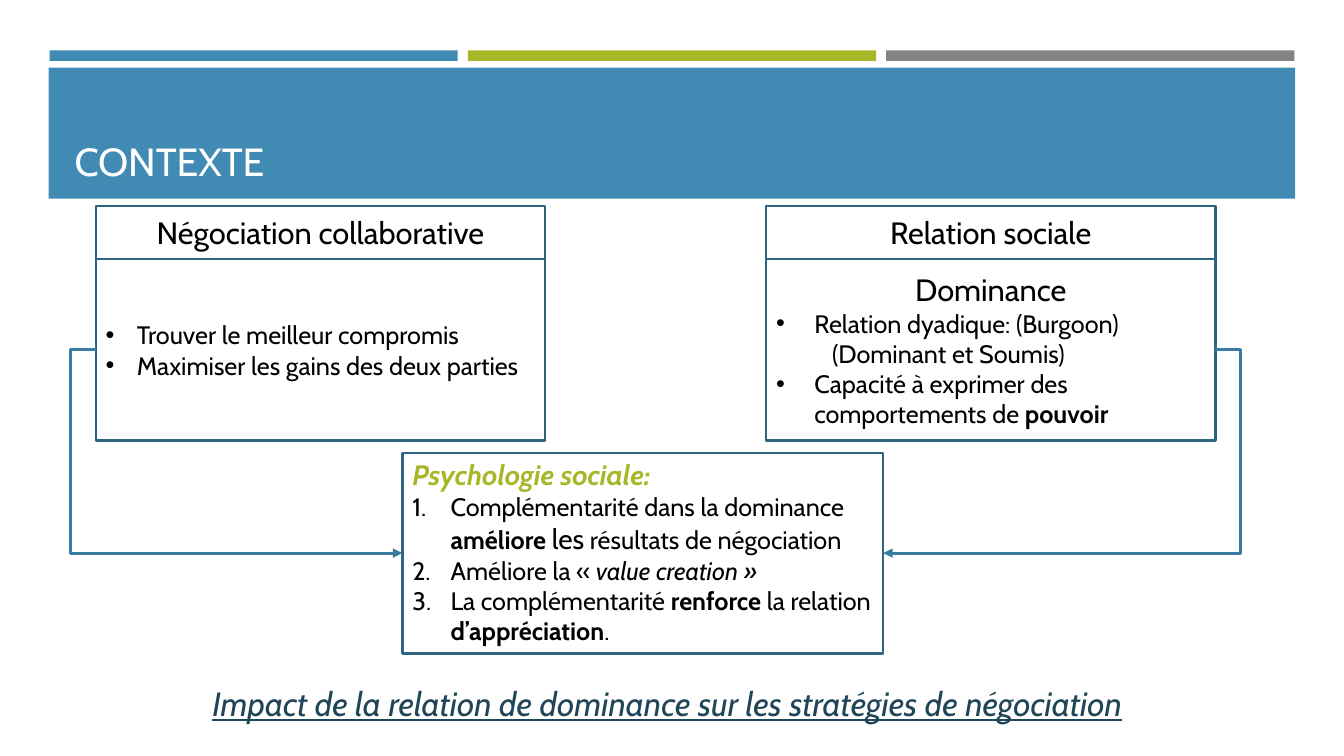
from pptx import Presentation
from pptx import util as u
from pptx.dml.color import RGBColor
from pptx.enum import shapes, text
from pptx.oxml.ns import qn
from lxml import etree

THEME = {
    "font": "Cabin",
    "blue": "418AB3", "green": "A6B727", "grey": "838383",
    "border": "2F6482", "arrow": "3A7CA1", "impact": "204559",
    "white": "FFFFFF", "black": "000000",
    "title": 28, "closing": 24, "heading": 22, "subheading": 20, "body": 18,
}
BOLD, ITALIC = {"bold": True}, {"italic": True}
CENTER = text.PP_ALIGN.CENTER
MIDDLE = text.MSO_ANCHOR.MIDDLE

deck = Presentation()
deck.slide_width, deck.slide_height = u.Inches(13.33), u.Inches(7.5)
page = deck.slides.add_slide(deck.slide_layouts[6])
COLUMN, ROW = deck.slide_width / 160, deck.slide_height / 90


def add_box(left, top, width, height, fill=None, line=None):
    """Add a rectangle measured in grid columns and rows."""
    box = page.shapes.add_shape(
        shapes.MSO_SHAPE.RECTANGLE, int(left * COLUMN), int(top * ROW),
        int(width * COLUMN), int(height * ROW))
    box.shadow.inherit = False
    if fill:
        box.fill.solid()
        box.fill.fore_color.rgb = RGBColor.from_string(THEME[fill])
    else:
        box.fill.background()
    if line:
        box.line.color.rgb = RGBColor.from_string(THEME[line])
        box.line.width = u.Pt(1.75)
    else:
        box.line.fill.background()
    return box


def write(box, paragraphs, anchor=text.MSO_ANCHOR.TOP, indent=0.38):
    """Fill a box with (marker, alignment, size, colour, spans) paragraphs."""
    frame = box.text_frame
    frame.word_wrap = True
    frame.vertical_anchor = anchor
    for index, (marker, alignment, size, colour, spans) in enumerate(paragraphs):
        para = frame.paragraphs[0] if index == 0 else frame.add_paragraph()
        para.alignment = alignment or text.PP_ALIGN.LEFT
        if marker:
            properties = para._p.get_or_add_pPr()
            properties.set("marL", str(u.Inches(indent)))
            properties.set("indent", str(-u.Inches(indent)))
            if marker == "•":
                font = etree.SubElement(properties, qn("a:buFont"))
                font.set("typeface", "Arial")
                etree.SubElement(properties, qn("a:buChar")).set("char", marker)
            else:
                etree.SubElement(properties, qn("a:buAutoNum")).set("type", marker)
        for words, style in spans:
            span = para.add_run()
            span.text = words
            span.font.name = THEME["font"]
            span.font.size = u.Pt(THEME[size])
            span.font.color.rgb = RGBColor.from_string(THEME[colour])
            for name, value in style.items():
                setattr(span.font, name, value)


# Header
for index, colour in enumerate(("blue", "green", "grey")):
    add_box(5.9 + index * 49.8, 6, 48.6, 1.25, fill=colour)
add_box(5.8, 8.05, 148.4, 15.6, fill="blue")
write(add_box(7.7, 9.25, 144.7, 13.3),
      [(None, None, "title", "white", [("CONTEXTE", {})])],
      text.MSO_ANCHOR.BOTTOM)

# Two themes, each a heading above a body
bullet = ("•", None, "body", "black")
themes = [
    (11.4, "Négociation collaborative", 0.31, [
        (*bullet, [("Trouver le meilleur compromis", {})]),
        (*bullet, [("Maximiser les gains des deux parties", {})]),
    ]),
    (91.2, "Relation sociale", 0.38, [
        (None, CENTER, "heading", "black", [("Dominance", {})]),
        (*bullet, [("Relation dyadique: (Burgoon)", {})]),
        (None, None, "body", "black", [("\t (Dominant et Soumis)", {})]),
        (*bullet, [("Capacité à exprimer des comportements de ", {}),
                   ("pouvoir", BOLD)]),
    ]),
]
bodies = []
for left, heading, indent, paragraphs in themes:
    write(add_box(left, 24.5, 53.5, 6.35, line="border"),
          [(None, CENTER, "heading", "black", [(heading, {})])], MIDDLE)
    body = add_box(left, 30.85, 53.5, 21.6, line="border")
    write(body, paragraphs, MIDDLE, indent)
    bodies.append(body)

# Findings from social psychology
findings = add_box(47.9, 53.9, 57.25, 23.9, line="border")
numbered = ("arabicPeriod", None, "body", "black")
write(findings, [
    (None, None, "subheading", "green", [("Psychologie sociale:", BOLD | ITALIC)]),
    (*numbered, [("Complémentarité dans la dominance ", {}), ("améliore ", BOLD),
                 ("les", {"size": u.Pt(THEME["subheading"])}),
                 (" résultats de négociation", {})]),
    (*numbered, [("Améliore la « ", {}), ("value creation »", ITALIC)]),
    (*numbered, [("La complémentarité ", {}), ("renforce", BOLD),
                 (" la relation ", {}), ("d’appréciation", BOLD), (".", {})]),
])

# Elbow arrows that swing out three columns beyond the bodies
negotiation, relation = bodies
ends = [(negotiation.left, findings.left),
        (relation.left + relation.width, findings.left + findings.width)]
for start, end in ends:
    arrow = page.shapes.add_connector(
        shapes.MSO_CONNECTOR.ELBOW, start, negotiation.top + negotiation.height // 2,
        end, findings.top + findings.height // 2)
    arrow.line.color.rgb = RGBColor.from_string(THEME["arrow"])
    arrow.line.width = u.Pt(2.25)
    etree.SubElement(arrow.line._get_or_add_ln(), qn("a:tailEnd")).set("type", "triangle")
    etree.SubElement(arrow._element.spPr, qn("a:effectLst"))
    guide = etree.SubElement(arrow._element.spPr.find(".//" + qn("a:avLst")), qn("a:gd"))
    guide.set("name", "adj1")
    guide.set("fmla", f"val {-round(3 * COLUMN / abs(end - start) * 100000)}")

# Closing line
write(add_box(24.1, 80.75, 121, 6), [
    (None, None, "closing", "impact",
     [("Impact de la relation de dominance sur les stratégies de négociation",
       ITALIC | {"underline": True})]),
])

deck.save("out.pptx")
